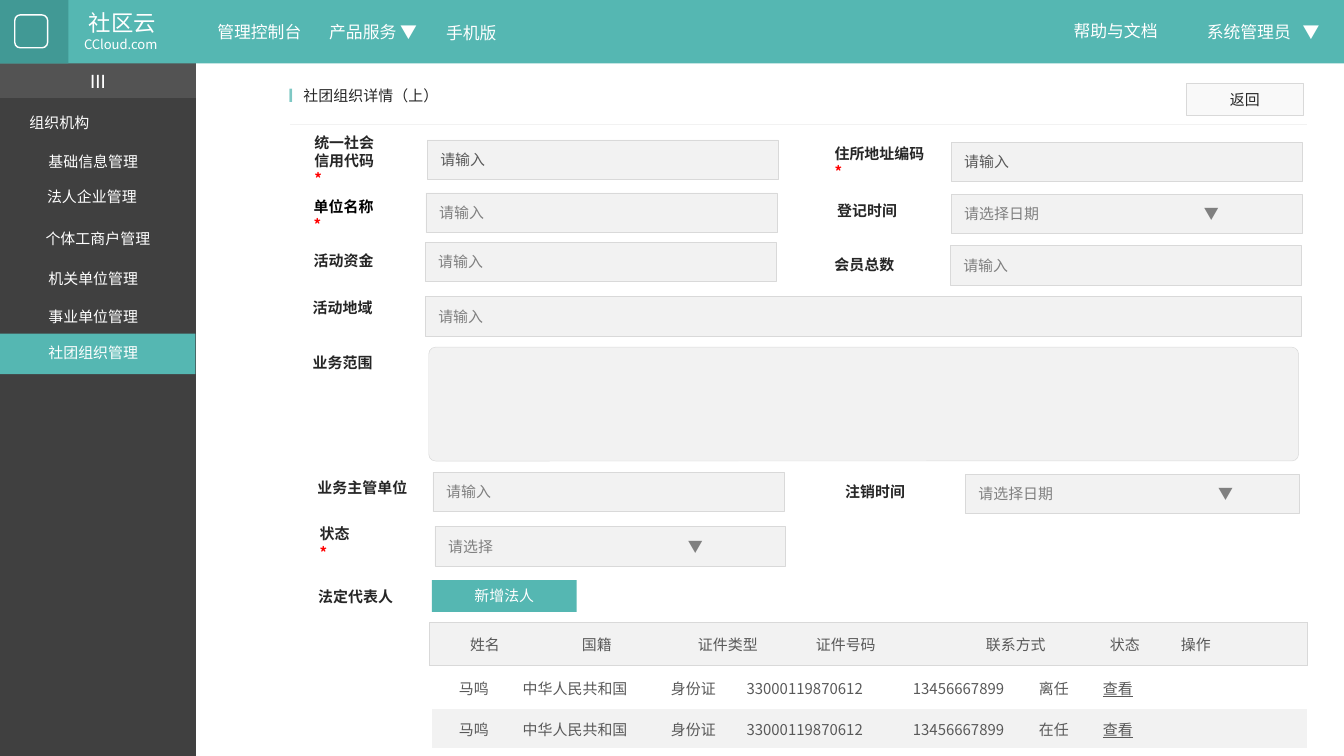
from lxml.etree import SubElement
from pptx import Presentation
from pptx.dml.color import RGBColor
from pptx.enum.shapes import MSO_CONNECTOR, MSO_SHAPE
from pptx.enum.text import MSO_ANCHOR, PP_ALIGN
from pptx.oxml import parse_xml
from pptx.oxml.ns import nsdecls, qn
from pptx.util import Pt

THEME = dict(
    teal="55B7B2", deep="419995", pale="7EC8C4", dark="404040", bar="535353",
    white="FFFFFF", snow="F9F9F9", gray="F2F2F2", edge="D9D9D9",
    ink="262626", black="000000", text="595959", hint="808080", red="FF0000",
    cjk="Noto Sans CJK SC", latin="Calibri",
    tiny=7, body=8, nav=9, mark=11, title=12,
)

# Content: text, then left, top, width, height
NAV = [
    ("管理控制台", (102.2, 8, 73.4, 18), "nav"),
    ("产品服务 ▼", (166, 8.2, 67.7, 18), "nav"),
    ("手机版", (224, 8.8, 57, 18), "nav"),
    ("帮助与文档", (563.8, 7.4, 67.7, 18), "nav"),
    ("社区云", (31.7, 1.4, 67.7, 21.6), "title"),
    ("CCloud.com", (30.2, 15.8, 69, 15.8), "tiny"),
]
MENU = [  # text, left, top
    ("组织机构", 10.8, 58.3), ("基础信息管理", 20.9, 79.2),
    ("法人企业管理", 20.2, 97.9), ("个体工商户管理", 19.4, 120.2),
    ("机关单位管理", 20.9, 141.8), ("事业单位管理", 20.9, 162),
    ("社团组织管理", 20.9, 181.4),
]
LABELS = [  # text, left, middle, colour
    ("统一社会\n信用代码\n*", 161.3, 86, "ink"), ("住所地址编码\n*", 440, 87.1, "ink"),
    ("单位名称\n*", 161, 115.2, "black"), ("登记时间", 441.4, 113, "ink"),
    ("活动资金", 161, 139.7, "ink"), ("会员总数", 440, 141.8, "ink"),
    ("活动地域", 160.4, 164.9, "ink"), ("业务范围", 160.4, 194.4, "ink"),
    ("业务主管单位", 163, 261.4, "ink"), ("注销时间", 445.7, 263.5, "ink"),
    ("状态\n*", 164.2, 290.9, "ink"), ("法定代表人", 163.4, 319.7, "ink"),
]
FIELDS = [  # text, left, top, width, colour
    ("请输入", 228.8, 75, 188, "text"), ("请输入", 509.5, 76.2, 188, "text"),
    ("请输入", 228.2, 103.4, 188, "hint"), ("请选择日期\t▼", 509.5, 104, 188, "hint"),
    ("请输入", 227.7, 129.7, 188, "hint"), ("请输入", 509, 131.5, 188, "hint"),
    ("请输入", 227.7, 158.8, 469.5, "hint"),
    ("请输入", 232, 253, 188, "hint"), ("请选择日期\t▼", 517, 254, 179, "hint"),
    ("请选择\t▼", 233, 282, 187.5, "hint"),
]
HEAD = [("姓名", "国籍", "证件类型", "证件号码", "联系方式", "状态", "操作")]
ROWS = [
    ("马鸣", "中华人民共和国", "身份证", "33000119870612", "13456667899", state, "查看")
    for state in ("离任", "在任")
]
HEADX = [251.8, 311.8, 373.9, 437.1, 528.2, 594.7, 632.7]
ROWX = [245.9, 280, 359.5, 400, 489.1, 556.6, 590.9]
RIGHT = 700.2


def hue(name):
    return RGBColor.from_string(THEME[name])


def write(frame, text, size="body", ink="text", face="cjk", bold=False,
          line=False, align=PP_ALIGN.LEFT, wrap=True, pad=(7.2, 3.6),
          tab=None, lead=None):
    """Fill a text frame: one paragraph a line, stars in red."""
    frame.word_wrap = wrap
    frame.vertical_anchor = MSO_ANCHOR.MIDDLE
    frame.margin_left = frame.margin_right = Pt(pad[0])
    frame.margin_top = frame.margin_bottom = Pt(pad[1])
    for i, part in enumerate(text.split("\n")):
        para = frame.paragraphs[0] if i == 0 else frame.add_paragraph()
        para.alignment = align
        if lead:
            para.line_spacing = Pt(lead)
        if tab:
            stops = SubElement(para._p.get_or_add_pPr(), qn("a:tabLst"))
            SubElement(stops, qn("a:tab"), pos=str(Pt(tab)), algn="l")
        for bit in filter(None, part.partition("▼")):
            run = para.add_run()
            run.text = bit
            font = run.font
            font.size = Pt(THEME[size])
            font.bold = bold or bit == "▼"
            font.underline = line
            font.color.rgb = hue("red" if bit == "*" else ink)
            font.name = THEME[face]
            SubElement(run._r.get_or_add_rPr(), qn("a:ea"), typeface=THEME[face])


def block(place, fill=None, edge=None, width=0.25, kind=MSO_SHAPE.RECTANGLE):
    shape = shapes.add_shape(kind, *map(Pt, place))
    shape.shadow.inherit = False
    if fill:
        shape.fill.solid()
        shape.fill.fore_color.rgb = hue(fill)
    else:
        shape.fill.background()
    if edge:
        shape.line.color.rgb = hue(edge)
        shape.line.width = Pt(width)
    else:
        shape.line.fill.background()
    return shape


def label(text, place, **style):
    write(shapes.add_textbox(*map(Pt, place)).text_frame, text, **style)


def border(cell, sides):
    """Draw the named sides of a cell and clear the rest."""
    for i, side in enumerate("LRTB"):
        paint = (f'<a:solidFill><a:srgbClr val="{THEME["edge"]}"/></a:solidFill>'
                 if side in sides else "<a:noFill/>")
        cell._tc.get_or_add_tcPr().insert(i, parse_xml(
            f'<a:ln{side} {nsdecls("a")} w="{Pt(0.25)}">{paint}</a:ln{side}>'))


def grid(data, left, top, starts, heights, fills, framed=False):
    """Build a table whose columns begin where their text begins."""
    last = len(starts) - 1
    table = shapes.add_table(len(data), len(starts), Pt(left), Pt(top),
                             Pt(RIGHT - left), Pt(sum(heights))).table
    table.first_row = table.horz_banding = False
    edges = [left, *starts[1:], RIGHT]
    for col, a, b in zip(table.columns, edges, edges[1:]):
        col.width = Pt(b - a)
    for r, (row, high, fill) in enumerate(zip(data, heights, fills)):
        table.rows[r].height = Pt(high)
        for c, text in enumerate(row):
            cell = table.cell(r, c)
            cell.fill.solid()
            cell.fill.fore_color.rgb = hue(fill)
            write(cell.text_frame, text, line=text == "查看")
            cell.vertical_anchor = MSO_ANCHOR.MIDDLE
            cell.margin_left = Pt(starts[0] - left if c == 0 else 0)
            cell.margin_right = cell.margin_top = cell.margin_bottom = 0
            ends = "L" * (c == 0) + "R" * (c == last)
            border(cell, "TB" + ends if framed else "")


deck = Presentation()
deck.slide_width, deck.slide_height = Pt(720), Pt(405)
shapes = deck.slides.add_slide(deck.slide_layouts[6]).shapes
MID = PP_ALIGN.CENTER

# Sidebar and top bar
block((0, 33, 105, 372), "dark")
write(block((0, 33.8, 105, 18.7), "bar").text_frame, "III",
      size="mark", ink="white", face="latin", align=MID)
block((0, 0, 720, 34), "teal")
block((0, 0, 36.7, 34), "deep")
block((7.9, 8, 17.6, 17.6), edge="white", width=0.75, kind=MSO_SHAPE.ROUNDED_RECTANGLE)
for text, place, size in NAV:
    label(text, place, size=size, ink="white", align=MID)
label("系统管理员\t▼", (639.4, 8, 79, 18), size="nav", ink="white", tab=51.4)

# Menu
block((0, 178.8, 104.7, 21.7), "teal")
for text, x, y in MENU:
    label(text, (x, y, 73.4, 15), ink="white", pad=(5, 2.9))

# Page heading
label("I", (144.7, 41, 22.3, 19.4), size="mark", ink="pale", face="latin",
      bold=True, align=MID)
label("社团组织详情（上）", (155.5, 42.3, 136, 17.3), ink="ink")
write(block((635.5, 44.6, 62.8, 17), "snow", "edge").text_frame, "返回",
      ink="ink", align=MID)
rule = shapes.add_connector(MSO_CONNECTOR.STRAIGHT, Pt(155.5), Pt(66.5), Pt(700), Pt(66.5))
rule.line.color.rgb = hue("gray")
rule.line.width = Pt(0.25)
SubElement(rule._element.spPr, qn("a:effectLst"))

# Form
for text, x, mid, ink in LABELS:
    lines = text.split("\n")
    wide = 8 * max(map(len, lines)) + 15
    high = 9.7 * len(lines) + 7.2
    label(text, (x, mid - high / 2, wide, high), ink=ink, bold=True,
          wrap=False, lead=9.7 if len(lines) > 1 else None)
for text, x, y, wide, ink in FIELDS:
    write(block((x, y, wide, 21.2), "gray", "edge").text_frame, text, ink=ink,
          tab=128.4 if "\t" in text else None)
scope = block((229.7, 186, 466, 61), "gray", "edge", kind=MSO_SHAPE.ROUNDED_RECTANGLE)
scope.adjustments[0] = 0.06
write(block((231.4, 310.8, 77.6, 17), "teal").text_frame, "新增法人",
      ink="white", align=MID)

# Legal representatives
grid(HEAD, 230, 333.4, HEADX, [23.2], ["gray"], framed=True)
grid(ROWS, 231.4, 357.2, ROWX, [22.8, 20.8], ["white", "gray"])

deck.save("out.pptx")
